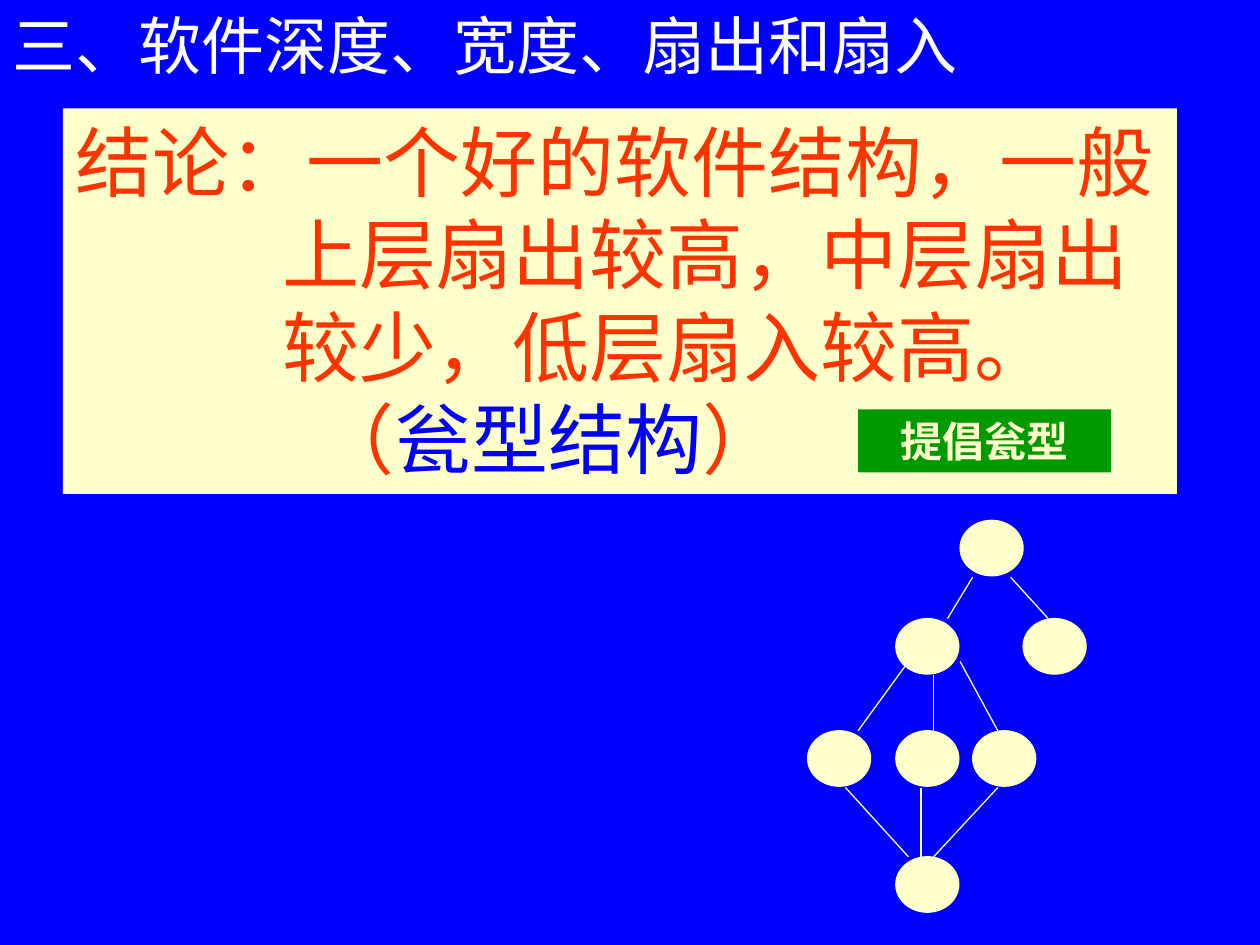
from lxml.etree import SubElement
from pptx import Presentation
from pptx.dml.color import RGBColor
from pptx.enum.shapes import MSO_CONNECTOR, MSO_SHAPE
from pptx.enum.text import MSO_ANCHOR, MSO_AUTO_SIZE, PP_ALIGN
from pptx.oxml.ns import qn
from pptx.util import Inches, Pt

BLUE = RGBColor(0x00, 0x00, 0xFF)
WHITE = RGBColor(0xFF, 0xFF, 0xFF)
CREAM = RGBColor(0xFF, 0xFF, 0xCC)
RED = RGBColor(0xFF, 0x33, 0x00)
GREEN = RGBColor(0x00, 0x99, 0x00)
SANS = "Noto Sans CJK SC"
SERIF = "Times New Roman"


def fill(shape, color):
    shape.fill.solid()
    shape.fill.fore_color.rgb = color


def style(font, name, size, color, bold=False):
    font.name = name
    font.size = Pt(size)
    font.color.rgb = color
    font.bold = bold


deck = Presentation()
deck.slide_width, deck.slide_height = Inches(10), Inches(7.5)
slide = deck.slides.add_slide(deck.slide_layouts[5])
shapes = slide.shapes

# Heading on a blue panel that covers the slide
title = shapes.title
title.left, title.top = Inches(0), Inches(0)
title.width, title.height = Inches(10), Inches(7.5)
fill(title, BLUE)
frame = title.text_frame
frame.text = "三、软件深度、宽度、扇出和扇入"
frame.auto_size = MSO_AUTO_SIZE.NONE
frame.vertical_anchor = MSO_ANCHOR.TOP
frame.paragraphs[0].alignment = PP_ALIGN.LEFT
style(frame.paragraphs[0].font, SANS, 36, WHITE)

# Conclusion: each line has a left margin and coloured runs
box = shapes.add_textbox(Inches(0.5), Inches(0.86), Inches(8.84), Inches(3.06))
fill(box, CREAM)
frame = box.text_frame
frame.word_wrap = True
lines = [
    (0, [("结论：一个好的软件结构，一般", RED)]),
    (1.64, [("上层扇出较高，中层扇出", RED)]),
    (1.64, [("较少，低层扇入较高。", RED)]),
    (1.92, [("（", RED), ("瓮型结构", BLUE), ("）", RED)]),
]
for i, (margin, runs) in enumerate(lines):
    para = frame.add_paragraph() if i else frame.paragraphs[0]
    para._p.get_or_add_pPr().set("marL", str(Inches(margin)))
    style(para.font, SERIF, 44, RED)
    for text, color in runs:
        run = para.add_run()
        run.text = text
        if color != RED:
            run.font.color.rgb = color

# Green label
label = shapes.add_shape(MSO_SHAPE.RECTANGLE, Inches(6.81), Inches(3.25),
                         Inches(2.01), Inches(0.5))
label.shadow.inherit = False
fill(label, GREEN)
label.line.fill.background()
frame = label.text_frame
frame.text = "提倡瓮型"
frame.vertical_anchor = MSO_ANCHOR.MIDDLE
frame.paragraphs[0].alignment = PP_ALIGN.CENTER
style(frame.paragraphs[0].font, SANS, 24, CREAM, True)

# Urn-shaped tree: top of each level and left edges of its nodes
levels = [(4.13, [7.62]), (4.91, [7.11, 8.12]),
          (5.8, [6.41, 7.11, 7.72]), (6.8, [7.11])]
for top, lefts in levels:
    for left in lefts:
        node = shapes.add_shape(MSO_SHAPE.OVAL, Inches(left), Inches(top),
                                Inches(0.5), Inches(0.44))
        node.shadow.inherit = False
        fill(node, CREAM)
        node.line.color.rgb = CREAM
        node.line.width = Pt(0.75)

links = [
    (7.72, 4.58, 7.52, 4.91), (8.02, 4.58, 8.32, 4.91),
    (7.21, 5.25, 6.81, 5.8), (7.41, 5.36, 7.41, 5.8), (7.62, 5.25, 7.92, 5.8),
    (6.71, 6.25, 7.21, 6.8), (7.31, 6.25, 7.31, 6.8), (7.92, 6.25, 7.41, 6.8),
]
for ends in links:
    link = shapes.add_connector(MSO_CONNECTOR.STRAIGHT, *map(Inches, ends))
    link.line.color.rgb = CREAM
    link.line.width = Pt(0.75)
    SubElement(link._element.spPr, qn("a:effectLst"))

deck.save("out.pptx")
